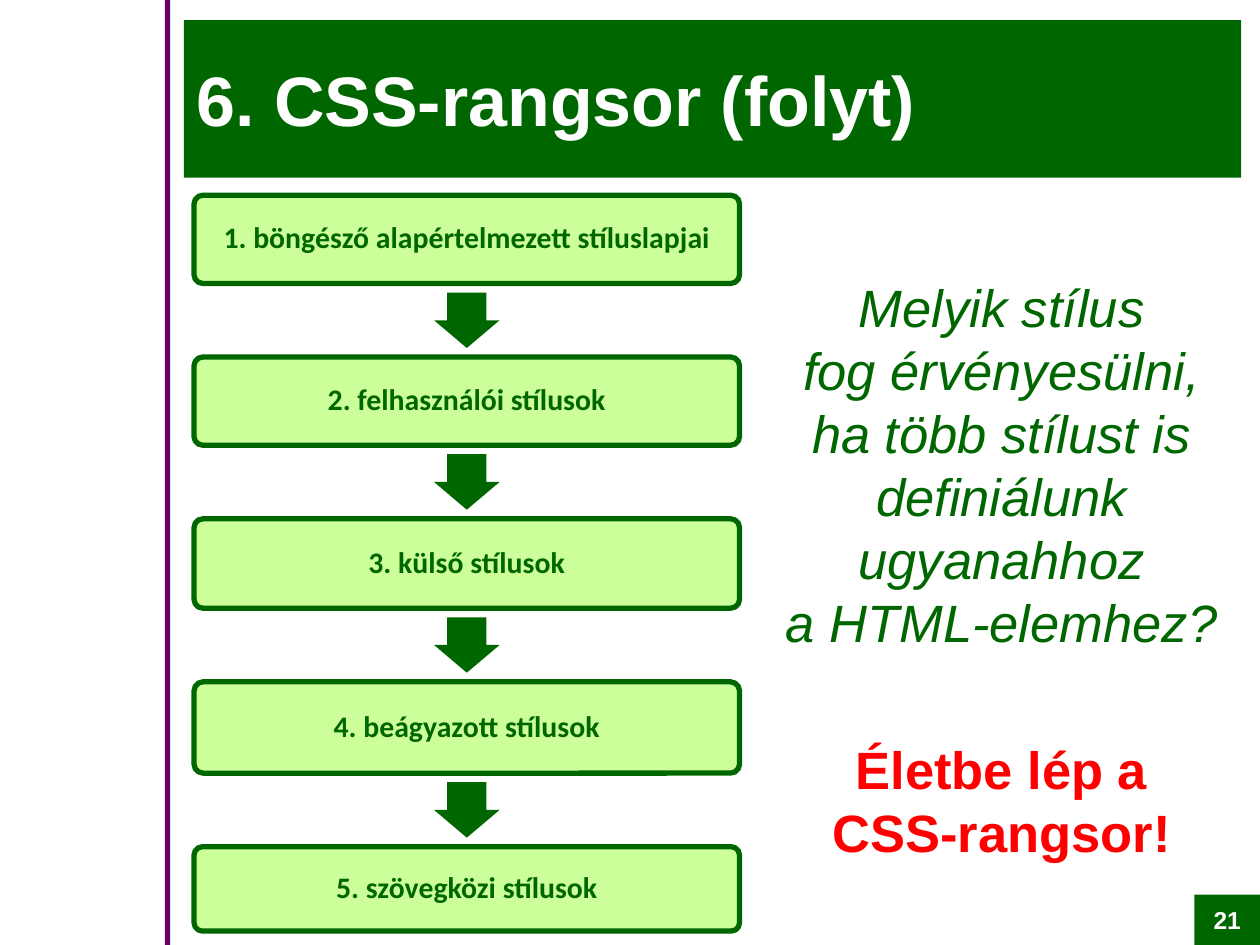
from dataclasses import dataclass

import pptx
import pptx.dml.color
import pptx.enum.shapes
import pptx.enum.text
import pptx.util

COLUMNS, ROWS = 100, 75
CELL = pptx.util.Inches(0.1)
SHAPES = pptx.enum.shapes.MSO_SHAPE
ALIGN = pptx.enum.text.PP_ALIGN
ANCHOR = pptx.enum.text.MSO_ANCHOR


@dataclass(frozen=True)
class Theme:
    green: str = "006600"
    light_green: str = "CCFF99"
    purple: str = "660066"
    red: str = "FF0000"
    white: str = "FFFFFF"
    font: str = "Arial"
    diagram_font: str = "Calibri"
    title_size: int = 40
    body_size: int = 30
    step_size: int = 17
    number_size: int = 14
    body_line: int = 36
    outline: int = 3


@dataclass(frozen=True)
class Box:
    """A rectangle measured in grid columns and rows."""
    left: float
    top: float
    width: float
    height: float

    def lengths(self):
        return [round(cells * CELL)
                for cells in (self.left, self.top, self.width, self.height)]


THEME = Theme()
STEPS = [
    # text, height in rows
    ("1. böngésző alapértelmezett stíluslapjai", 7),
    ("2. felhasználói stílusok", 7),
    ("3. külső stílusok", 7.1),
    ("4. beágyazott stílusok", 7.25),
    ("5. szövegközi stílusok", 6.7),
]
QUESTION = ("Melyik stílus\nfog érvényesülni,\n"
            "ha több stílust is definiálunk ugyanahhoz\na HTML-elemhez?")
ANSWER = "Életbe lép a\nCSS-rangsor!"


def rgb(color):
    return pptx.dml.color.RGBColor.from_string(color)


def set_all(target, values):
    for name, value in values.items():
        setattr(target, name, value)


def write(paragraph, text, size, color, font=THEME.font, layout=None, **style):
    paragraph.text = text
    set_all(paragraph, {"alignment": ALIGN.CENTER, **(layout or {})})
    set_all(paragraph.font, {"name": font, "size": pptx.util.Pt(size), **style})
    paragraph.font.color.rgb = rgb(color)


def add_filled(slide, kind, box, fill, line=None):
    shape = slide.shapes.add_shape(kind, *box.lengths())
    shape.shadow.inherit = False
    shape.fill.solid()
    shape.fill.fore_color.rgb = rgb(fill)
    if line:
        shape.line.color.rgb = rgb(line)
        shape.line.width = pptx.util.Pt(THEME.outline)
    else:
        shape.line.fill.background()
    return shape


def add_title(slide, box):
    title = slide.shapes.title
    set_all(title, dict(zip(("left", "top", "width", "height"), box.lengths())))
    title.fill.solid()
    title.fill.fore_color.rgb = rgb(THEME.green)
    set_all(title.text_frame, {"vertical_anchor": ANCHOR.MIDDLE,
                               "auto_size": pptx.enum.text.MSO_AUTO_SIZE.NONE})
    write(title.text_frame.paragraphs[0], "6. CSS-rangsor (folyt)",
          THEME.title_size, THEME.white, layout={"alignment": ALIGN.LEFT}, bold=True)


def add_step(slide, box, text):
    step = add_filled(slide, SHAPES.ROUNDED_RECTANGLE, box,
                      THEME.light_green, THEME.green)
    step.adjustments[0] = 0.1
    margin = round(0.7 * CELL)
    set_all(step.text_frame, {
        "word_wrap": True, "vertical_anchor": ANCHOR.MIDDLE,
        "margin_left": margin, "margin_right": margin,
        "margin_top": margin, "margin_bottom": margin})
    write(step.text_frame.paragraphs[0], text, THEME.step_size, THEME.green,
          THEME.diagram_font, {"line_spacing": 0.9}, bold=True)


def add_ranking(slide, box):
    """Stack the steps in the box with a down arrow centred in each gap."""
    gap = (box.height - sum(height for _, height in STEPS)) / (len(STEPS) - 1)
    arrow_width, arrow_height = 5.2, 4.4
    top = box.top
    for index, (text, height) in enumerate(STEPS):
        if index:
            arrow = add_filled(slide, SHAPES.DOWN_ARROW, Box(
                box.left + (box.width - arrow_width) / 2,
                top - (gap + arrow_height) / 2,
                arrow_width, arrow_height), THEME.green)
            arrow.adjustments[0], arrow.adjustments[1] = 0.6, 0.5
        add_step(slide, Box(box.left, top, box.width, height), text)
        top += height + gap


def add_question(slide, box):
    frame = slide.shapes.add_textbox(*box.lengths()).text_frame
    set_all(frame, {"word_wrap": True, "margin_top": 0})
    line = {"line_spacing": pptx.util.Pt(THEME.body_line)}
    write(frame.paragraphs[0], QUESTION, THEME.body_size, THEME.green,
          layout=line, italic=True)
    write(frame.add_paragraph(), ANSWER, THEME.body_size, THEME.red,
          layout={**line, "space_before": pptx.util.Pt(48)}, bold=True)


def add_slide_number(slide, box):
    shape = add_filled(slide, SHAPES.RECTANGLE, box, THEME.green)
    shape.text_frame.vertical_anchor = ANCHOR.MIDDLE
    write(shape.text_frame.paragraphs[0], "21", THEME.number_size,
          THEME.white, bold=True)


def main():
    presentation = pptx.Presentation()
    presentation.slide_width = COLUMNS * CELL
    presentation.slide_height = ROWS * CELL
    slide = presentation.slides.add_slide(presentation.slide_layouts[5])
    add_filled(slide, SHAPES.RECTANGLE, Box(13.1, 0, 0.4, ROWS), THEME.purple)
    add_title(slide, Box(14.6, 1.6, 83.9, 12.5))
    add_question(slide, Box(60.2, 21.8, 38.6, 53.2))
    add_slide_number(slide, Box(COLUMNS - 5.2, ROWS - 4, 5.2, 4))
    add_ranking(slide, Box(15.4, 15.5, 43.3, 58.4))
    presentation.save("out.pptx")


if __name__ == "__main__":
    main()
